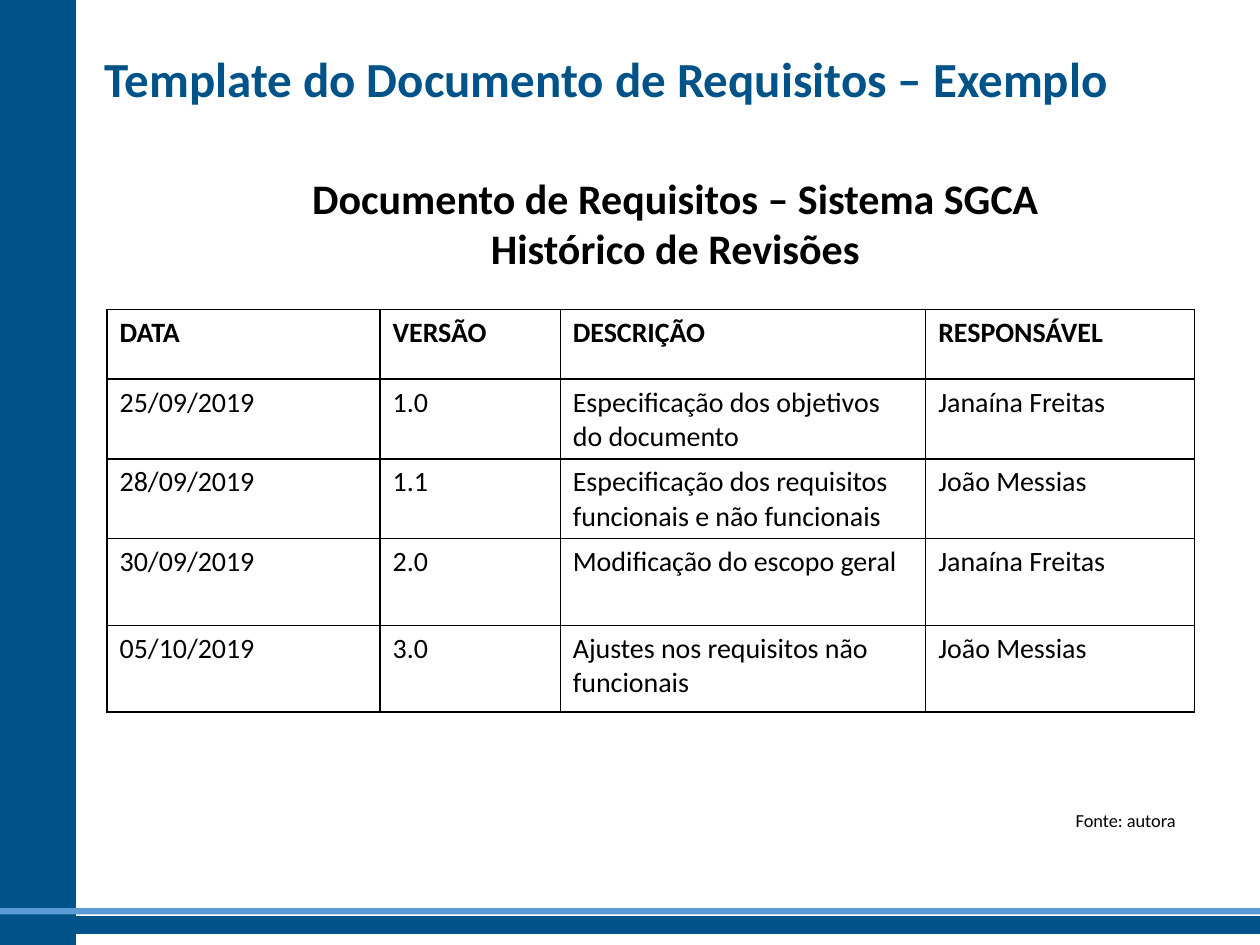
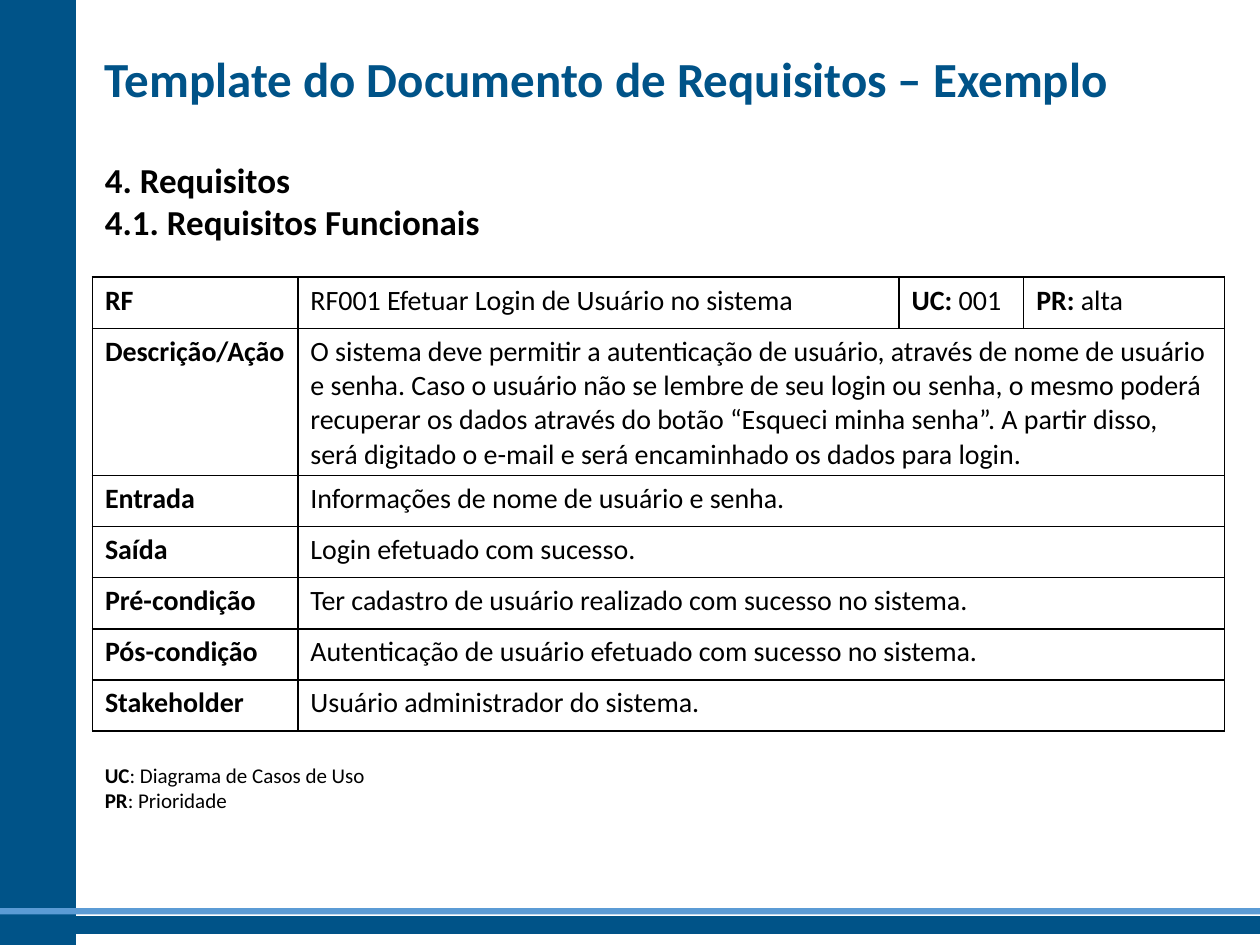
from lxml.etree import SubElement
from pptx import Presentation
from pptx.dml.color import RGBColor
from pptx.enum.shapes import MSO_SHAPE
from pptx.enum.text import MSO_ANCHOR, PP_ALIGN
from pptx.oxml.ns import qn
from pptx.util import Pt

SLIDE_WIDTH, SLIDE_HEIGHT = 720, 540
FONT = "Calibri"
BLUE, LIGHT_BLUE, BLACK = "005388", "5B9BD5", "000000"
TITLE = "Template do Documento de Requisitos – Exemplo"

REVISIONS = [
    ["DATA", "VERSÃO", "DESCRIÇÃO", "RESPONSÁVEL"],
    ["25/09/2019", "1.0", "Especificação dos objetivos do documento", "Janaína Freitas"],
    ["28/09/2019", "1.1", "Especificação dos requisitos funcionais e não funcionais",
     "João Messias"],
    ["30/09/2019", "2.0", "Modificação do escopo geral", "Janaína Freitas"],
    ["05/10/2019", "3.0", "Ajustes nos requisitos não funcionais", "João Messias"],
]
REQUIREMENT_HEAD = [
    ("RF", ""),
    ("", "RF001 Efetuar Login de Usuário no sistema"),
    ("UC:", " 001"),
    ("PR:", " alta"),
]
REQUIREMENT_FIELDS = {
    "Descrição/Ação": "O sistema deve permitir a autenticação de usuário, através de nome de "
                      "usuário e senha. Caso o usuário não se lembre de seu login ou senha, o "
                      "mesmo poderá recuperar os dados através do botão “Esqueci minha senha”. "
                      "A partir disso, será digitado o e-mail e será encaminhado os dados para "
                      "login.",
    "Entrada": "Informações de nome de usuário e senha.",
    "Saída": "Login efetuado com sucesso.",
    "Pré-condição": "Ter cadastro de usuário realizado com sucesso no sistema.",
    "Pós-condição": "Autenticação de usuário efetuado com sucesso no sistema.",
    "Stakeholder": "Usuário administrador do sistema.",
}


def color(hex_value):
    """Turn a hex string into a colour."""
    return RGBColor.from_string(hex_value)


def apply_format(target, values):
    """Set each attribute named in a dict of format values."""
    for name, value in values.items():
        setattr(target, name, value)


def write_text(text_frame, lines, size, font_color=BLACK, paragraph_format=None):
    """Write lines given as pairs of bold and regular text."""
    for index, line in enumerate(lines):
        paragraph = text_frame.add_paragraph() if index else text_frame.paragraphs[0]
        apply_format(paragraph, paragraph_format or {})
        for text, bold in zip(line, (True, False)):
            if text:
                run = paragraph.add_run()
                run.text = text
                apply_format(run.font, {"name": FONT, "size": Pt(size), "bold": bold})
                run.font.color.rgb = color(font_color)


def add_text(slide, box, lines, size, font_color=BLACK, frame_format=None,
             paragraph_format=None):
    """Add a text box that wraps unless its frame format says otherwise."""
    text_frame = slide.shapes.add_textbox(*map(Pt, box)).text_frame
    apply_format(text_frame, {"word_wrap": True, **(frame_format or {})})
    write_text(text_frame, lines, size, font_color, paragraph_format)


def add_band(slide, box, fill, outlined):
    """Add one plain band of the slide frame."""
    shape = slide.shapes.add_shape(MSO_SHAPE.RECTANGLE, *map(Pt, box))
    shape.shadow.inherit = False
    shape.fill.solid()
    shape.fill.fore_color.rgb = color(fill)
    if outlined:
        shape.line.color.rgb = color(fill)
        shape.line.width = Pt(1)
    else:
        shape.line.fill.background()


def add_frame(slide, box):
    """Add the side band, the footer bands and the title."""
    left, top, width, height = box
    bottom = top + height
    add_band(slide, (left, top, 43.2, height), BLUE, True)
    add_band(slide, (left, bottom - 16, width, 9), BLUE, True)
    add_band(slide, (left, bottom - 21, width, 3.5), LIGHT_BLUE, False)
    add_text(slide, (left + 52.8, top + 14.4, width - 52.8, 64.8), [(TITLE, "")], 28, BLUE,
             {"vertical_anchor": MSO_ANCHOR.MIDDLE}, {"line_spacing": 0.9})


def style_cell(cell):
    """Give a cell thin black borders and no fill."""
    properties = cell._tc.get_or_add_tcPr()
    for side in ("a:lnL", "a:lnR", "a:lnT", "a:lnB"):
        line = SubElement(properties, qn(side), w=str(Pt(1)))
        fill = SubElement(line, qn("a:solidFill"))
        SubElement(fill, qn("a:srgbClr"), val=BLACK)
    cell.fill.background()


def add_grid(slide, origin, column_widths, row_heights, rows):
    """Add a bordered table; a short row spans its last cell to the right edge."""
    size = (sum(column_widths), sum(row_heights))
    table = slide.shapes.add_table(len(row_heights), len(column_widths),
                                   *map(Pt, origin + size)).table
    apply_format(table, {"first_row": False, "horz_banding": False})
    for column, width in zip(table.columns, column_widths):
        column.width = Pt(width)
    for row, height in zip(table.rows, row_heights):
        row.height = Pt(height)
    for cell in table.iter_cells():
        style_cell(cell)
    last_column = len(column_widths) - 1
    for row_index, contents in enumerate(rows):
        for column_index, content in enumerate(contents):
            write_text(table.cell(row_index, column_index).text_frame, [content], 16)
        if len(contents) <= last_column:
            first_cell = table.cell(row_index, len(contents) - 1)
            first_cell.merge(table.cell(row_index, last_column))


def add_revision_history(slide, box):
    """Add the centred heading, the revision table and its source."""
    left, top, width, height = box
    headings = [("Documento de Requisitos – Sistema SGCA", ""), ("Histórico de Revisões", "")]
    add_text(slide, (left + 108, top, 433.4, 65.5), headings, 24,
             frame_format={"word_wrap": False},
             paragraph_format={"alignment": PP_ALIGN.CENTER})
    header, *entries = REVISIONS
    rows = [[(text, "") for text in header]]
    rows += [[("", text) for text in entry] for entry in entries]
    add_grid(slide, (left, top + 82), (156, 103, 208.8, 153.6),
             (39.6, 45.6, 45.6, 49.6, 49.6), rows)
    add_text(slide, (left + width - 75, top + height - 20, 72.7, 20), [("", "Fonte: autora")],
             10.5, frame_format={"word_wrap": False})


def add_functional_requirement(slide, box):
    """Add the section heading, the requirement table and its legend."""
    left, top, width, height = box
    add_text(slide, (left, top, width, 104.4),
             [("4. Requisitos", ""), ("4.1. Requisitos Funcionais", "")], 20)
    rows = [REQUIREMENT_HEAD]
    rows += [[(name, ""), ("", value)] for name, value in REQUIREMENT_FIELDS.items()]
    add_grid(slide, (left, top + 71.3), (117.4, 343.6, 71.2, 114.8),
             (29.25, 83.75) + (29.25,) * 5, rows)
    add_text(slide, (left, top + height - 36, 345.6, 36),
             [("UC", ": Diagrama de Casos de Uso"), ("PR", ": Prioridade")], 12)


def main():
    """Build and save the presentation."""
    presentation = Presentation()
    apply_format(presentation, {"slide_width": Pt(SLIDE_WIDTH), "slide_height": Pt(SLIDE_HEIGHT)})
    regions = [
        (add_revision_history, (61.2, 95, 621.4, 383.8)),
        (add_functional_requirement, (52.8, 87.1, 647, 381)),
    ]
    for add_region, box in regions:
        slide = presentation.slides.add_slide(presentation.slide_layouts[6])
        add_frame(slide, (0, 0, SLIDE_WIDTH, SLIDE_HEIGHT))
        add_region(slide, box)
    presentation.save("out.pptx")


if __name__ == "__main__":
    main()
